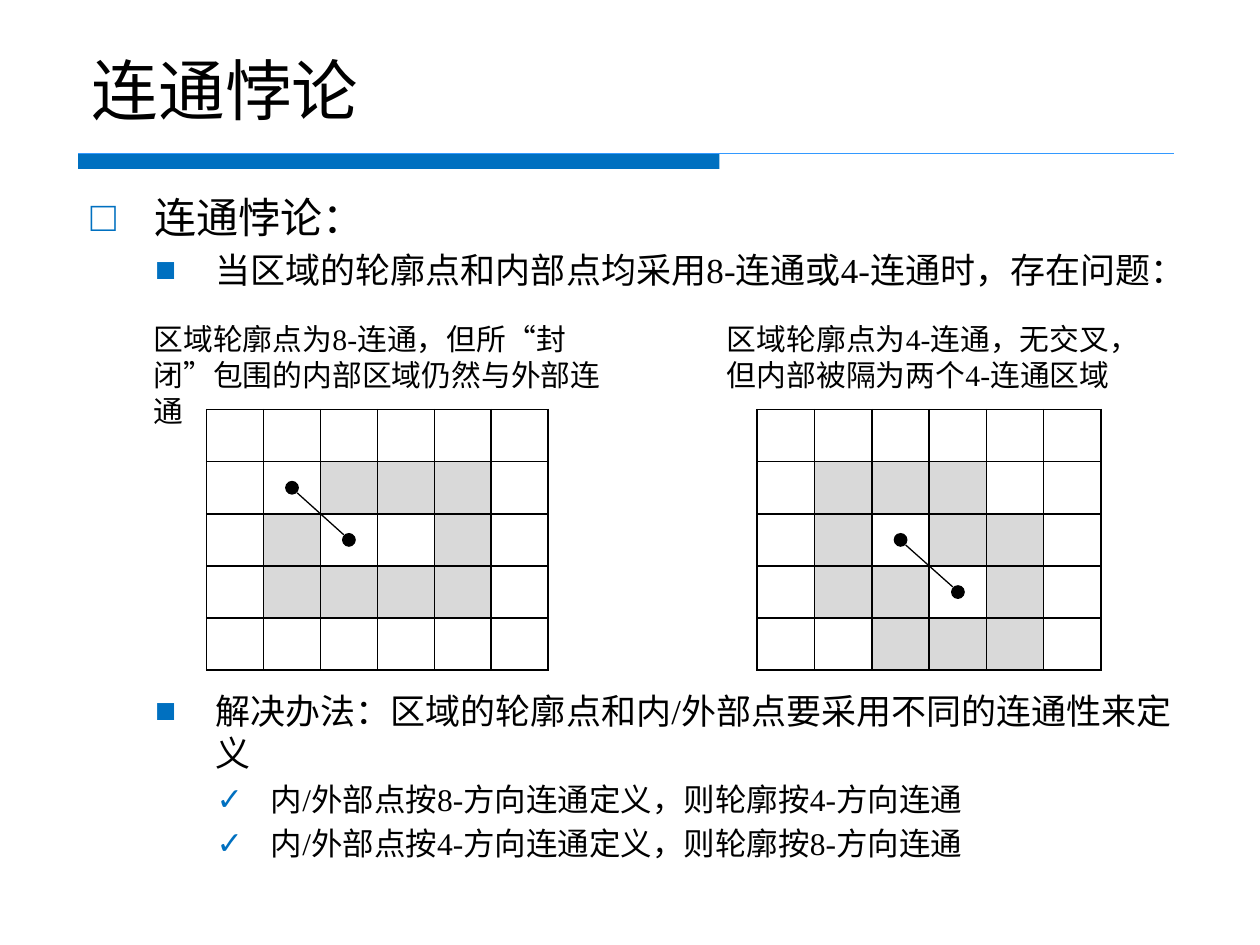
from dataclasses import dataclass

from lxml.etree import SubElement
from pptx import Presentation
from pptx.dml.color import RGBColor
from pptx.enum.lang import MSO_LANGUAGE_ID as Language
from pptx.enum.shapes import MSO_CONNECTOR as Connector, MSO_SHAPE as Preset
from pptx.enum.text import MSO_ANCHOR as Anchor, MSO_AUTO_SIZE as AutoSize, PP_ALIGN as Align
from pptx.oxml.ns import qn
from pptx.util import Inches, Pt

COLORS = {"accent": "0070C0", "rule": "3399FF", "ink": "000000", "contour": "D9D9D9"}
SERIF = "Times New Roman"
ROWS, COLS = 5, 6
GRID_TOP, GRID_HEIGHT = 3.25, 2.07
DOT_SIZE = 0.11
LINK_INSET = 0.04


@dataclass
class Bullet:
    text: str
    level: int
    before: float


@dataclass
class BulletStyle:
    char: str
    size: float
    left: float
    hanging: float


@dataclass
class PixelGrid:
    """A region drawn in pixels: '#' is a contour pixel, 'o' one end of the link."""
    left: float
    width: float
    pixels: list[str]


@dataclass
class Caption:
    left: float
    width: float
    text: str


LEVELS = [
    BulletStyle("□", 24, 0.51, 0.51),
    BulletStyle("■", 20, 0.99, 0.48),
    BulletStyle("✓", 18, 1.43, 0.43),
]
BULLETS = [
    Bullet("连通悖论：", 0, 4.8),
    Bullet("当区域的轮廓点和内部点均采用8-连通或4-连通时，存在问题：", 1, 4),
    Bullet("解决办法：区域的轮廓点和内/外部点要采用不同的连通性来定义", 1, 228),
    Bullet("内/外部点按8-方向连通定义，则轮廓按4-方向连通", 2, 3.6),
    Bullet("内/外部点按4-方向连通定义，则轮廓按8-方向连通", 2, 3.6),
]
GRIDS = [
    PixelGrid(1.64, 2.71, ["......", ".o###.", ".#o.#.", ".####.", "......"]),
    PixelGrid(6.01, 2.73, ["......", ".###..", ".#o##.", ".##o#.", "..###."]),
]
CAPTIONS = [
    Caption(1.12, 3.8, "区域轮廓点为8-连通，但所“封闭”包围的内部区域仍然与外部连通"),
    Caption(5.67, 3.41, "区域轮廓点为4-连通，无交叉，但内部被隔为两个4-连通区域"),
]


def rgb(name: str) -> RGBColor:
    return RGBColor.from_string(COLORS[name])


def place(shape, left: float, top: float, width: float, height: float) -> None:
    shape.left, shape.top = Inches(left), Inches(top)
    shape.width, shape.height = Inches(width), Inches(height)


def write(para, text: str, *, size: float, font: str = SERIF) -> None:
    para.alignment = Align.LEFT
    span = para.add_run()
    span.text = text
    span.font.size = Pt(size)
    span.font.name = font
    span.font.color.rgb = rgb("ink")
    span.font.language_id = Language.SIMPLIFIED_CHINESE


def add_solid(page, preset, color: str, *bounds: float) -> None:
    shape = page.shapes.add_shape(preset, *map(Inches, bounds))
    shape.shadow.inherit = False
    shape.fill.solid()
    shape.fill.fore_color.rgb = rgb(color)
    shape.line.fill.background()


def add_line(page, color: str, *ends: float) -> None:
    line = page.shapes.add_connector(Connector.STRAIGHT, *map(Inches, ends))
    line.line.color.rgb = rgb(color)
    line.line.width = Pt(0.75)
    SubElement(line._element.spPr, qn("a:effectLst"))


def add_bullet(para, bullet: Bullet) -> None:
    style = LEVELS[bullet.level]
    para.level = bullet.level
    para.space_before = Pt(bullet.before)
    write(para, bullet.text, size=style.size)
    props = para._p.get_or_add_pPr()
    props.set("marL", str(Inches(style.left)))
    props.set("indent", str(-Inches(style.hanging)))
    color = SubElement(props, qn("a:buClr"))
    SubElement(color, qn("a:srgbClr"), val=COLORS["accent"])
    SubElement(props, qn("a:buFont"), typeface="Arial")
    SubElement(props, qn("a:buChar"), char=style.char)


def add_borders(cell) -> None:
    props = cell._tc.get_or_add_tcPr()
    for index, side in enumerate(("lnL", "lnR", "lnT", "lnB")):
        border = props.makeelement(qn(f"a:{side}"), {"w": str(Pt(1))})
        fill = SubElement(border, qn("a:solidFill"))
        SubElement(fill, qn("a:srgbClr"), val=COLORS["ink"])
        props.insert(index, border)


def add_grid(page, grid: PixelGrid) -> None:
    frame = page.shapes.add_table(ROWS, COLS, Inches(grid.left), Inches(GRID_TOP),
                                  Inches(grid.width), Inches(GRID_HEIGHT))
    table = frame.table
    table.first_row = table.horz_banding = False
    for row, pixels in enumerate(grid.pixels):
        for col, pixel in enumerate(pixels):
            cell = table.cell(row, col)
            if pixel == "#":
                cell.fill.solid()
                cell.fill.fore_color.rgb = rgb("contour")
            else:
                cell.fill.background()
            cell.margin_top = cell.margin_bottom = 0
            add_borders(cell)


def add_link(page, grid: PixelGrid) -> None:
    """Join the centres of the two marked pixels."""
    col_width, row_height = grid.width / COLS, GRID_HEIGHT / ROWS
    centres = [(grid.left + (col + 0.5) * col_width, GRID_TOP + (row + 0.5) * row_height)
               for row, pixels in enumerate(grid.pixels)
               for col, pixel in enumerate(pixels) if pixel == "o"]
    for x, y in centres:
        add_solid(page, Preset.OVAL, "ink", x - DOT_SIZE / 2, y - DOT_SIZE / 2,
                  DOT_SIZE, DOT_SIZE)
    (x1, y1), (x2, y2) = centres
    add_line(page, "ink", x1 + LINK_INSET, y1 + LINK_INSET, x2 - LINK_INSET, y2 - LINK_INSET)


def add_caption(page, caption: Caption) -> None:
    box = page.shapes.add_textbox(0, 0, 0, 0)
    place(box, caption.left, 2.5, caption.width, 0.67)
    box.text_frame.word_wrap = True
    write(box.text_frame.paragraphs[0], caption.text, size=17)


def main() -> None:
    deck = Presentation()
    deck.slide_width, deck.slide_height = Inches(10), Inches(7.5)
    page = deck.slides.add_slide(deck.slide_layouts[1])

    add_solid(page, Preset.RECTANGLE, "accent", 0.62, 1.22, 5.09, 0.12)
    add_line(page, "rule", 0.62, 1.22, 9.32, 1.22)

    title, body = page.placeholders
    place(title, 0.63, 0.33, 8.75, 0.74)
    title.text_frame.vertical_anchor = Anchor.BOTTOM
    title.text_frame.auto_size = AutoSize.NONE
    write(title.text_frame.paragraphs[0], "连通悖论", size=38, font="Arial")

    place(body, 0.62, 1.47, 9.06, 5.43)
    body.text_frame.auto_size = AutoSize.NONE
    for index, bullet in enumerate(BULLETS):
        frame = body.text_frame
        add_bullet(frame.add_paragraph() if index else frame.paragraphs[0], bullet)

    for grid in GRIDS:
        add_grid(page, grid)
    for caption in CAPTIONS:
        add_caption(page, caption)
    for grid in GRIDS:
        add_link(page, grid)

    deck.save("out.pptx")


if __name__ == "__main__":
    main()
